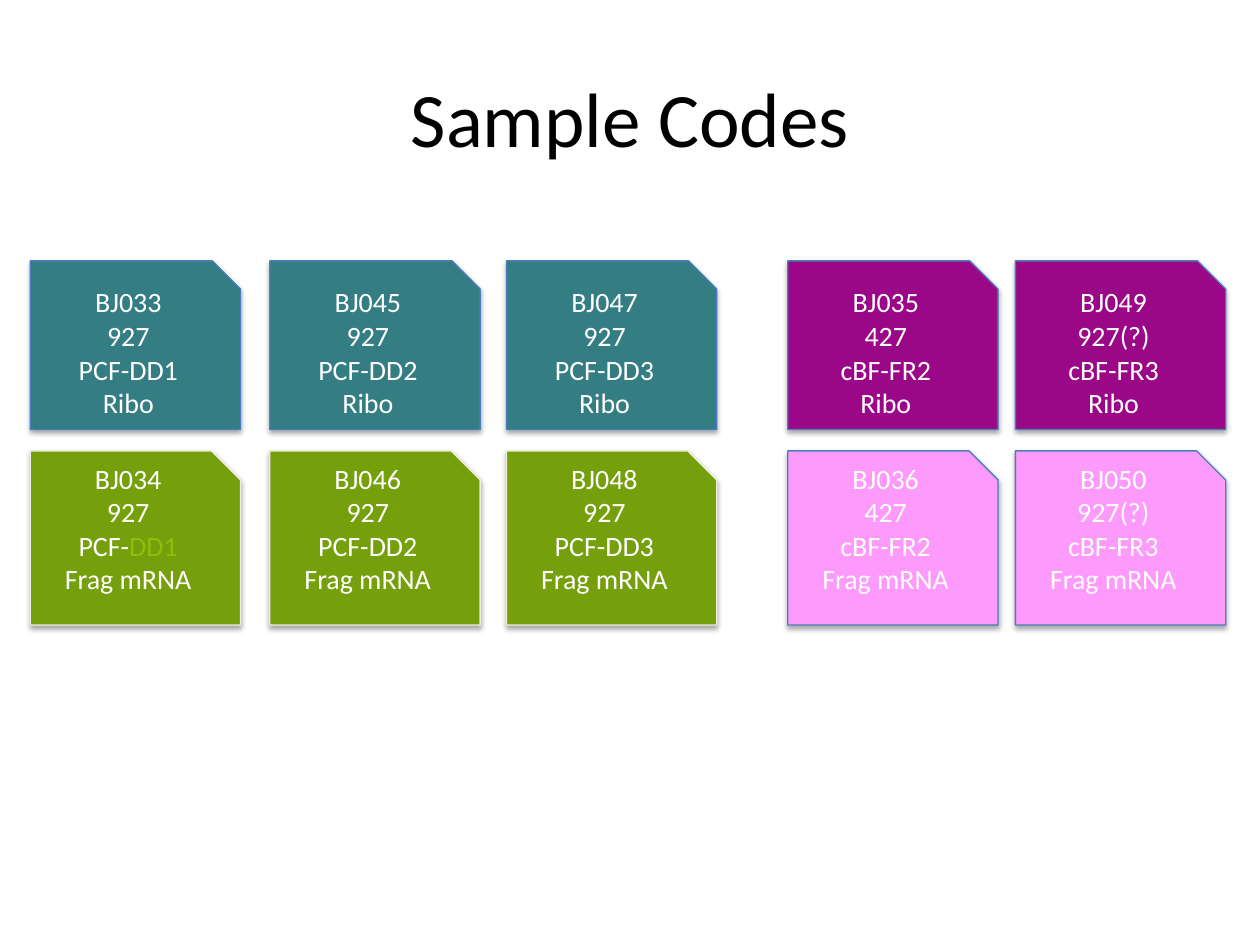
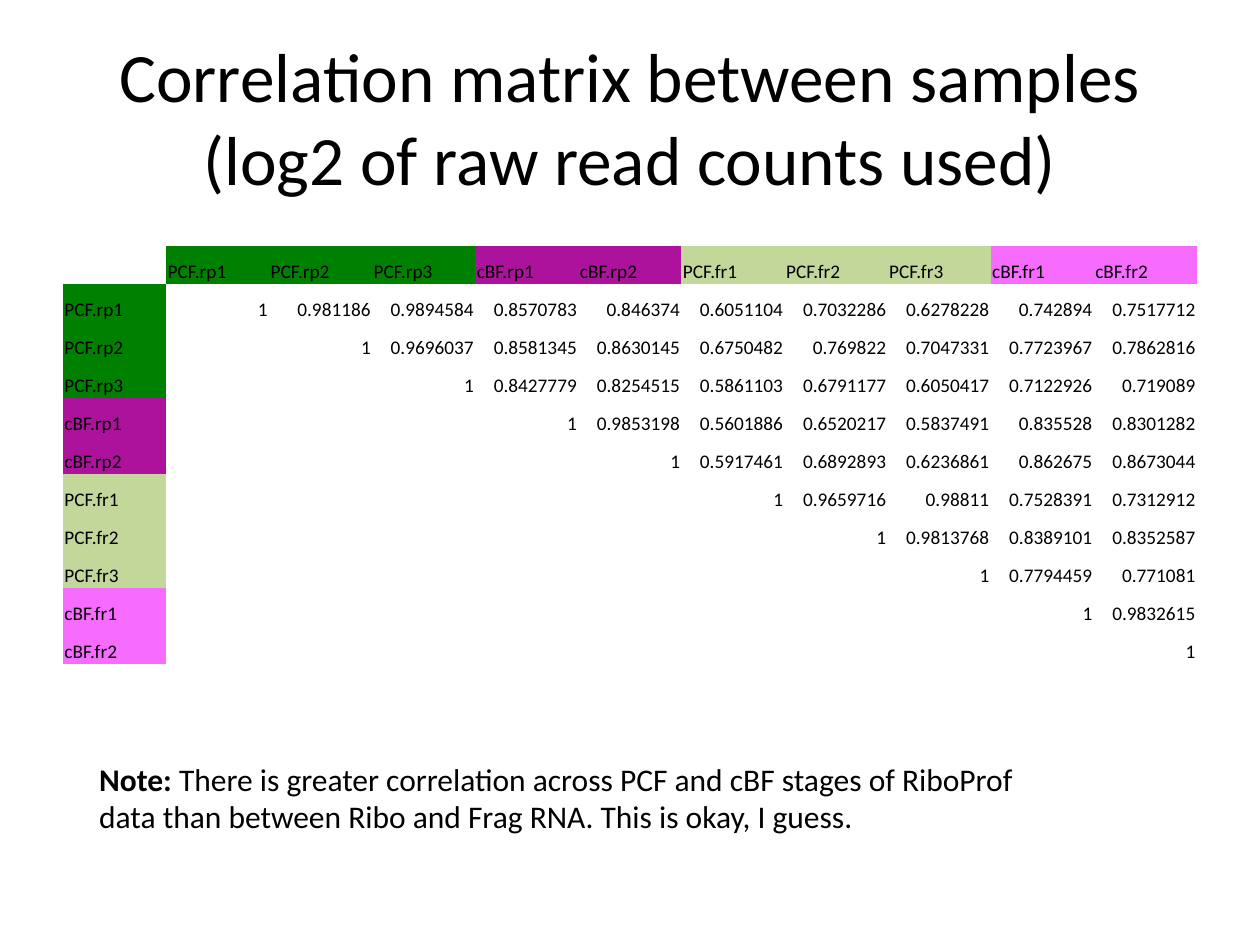
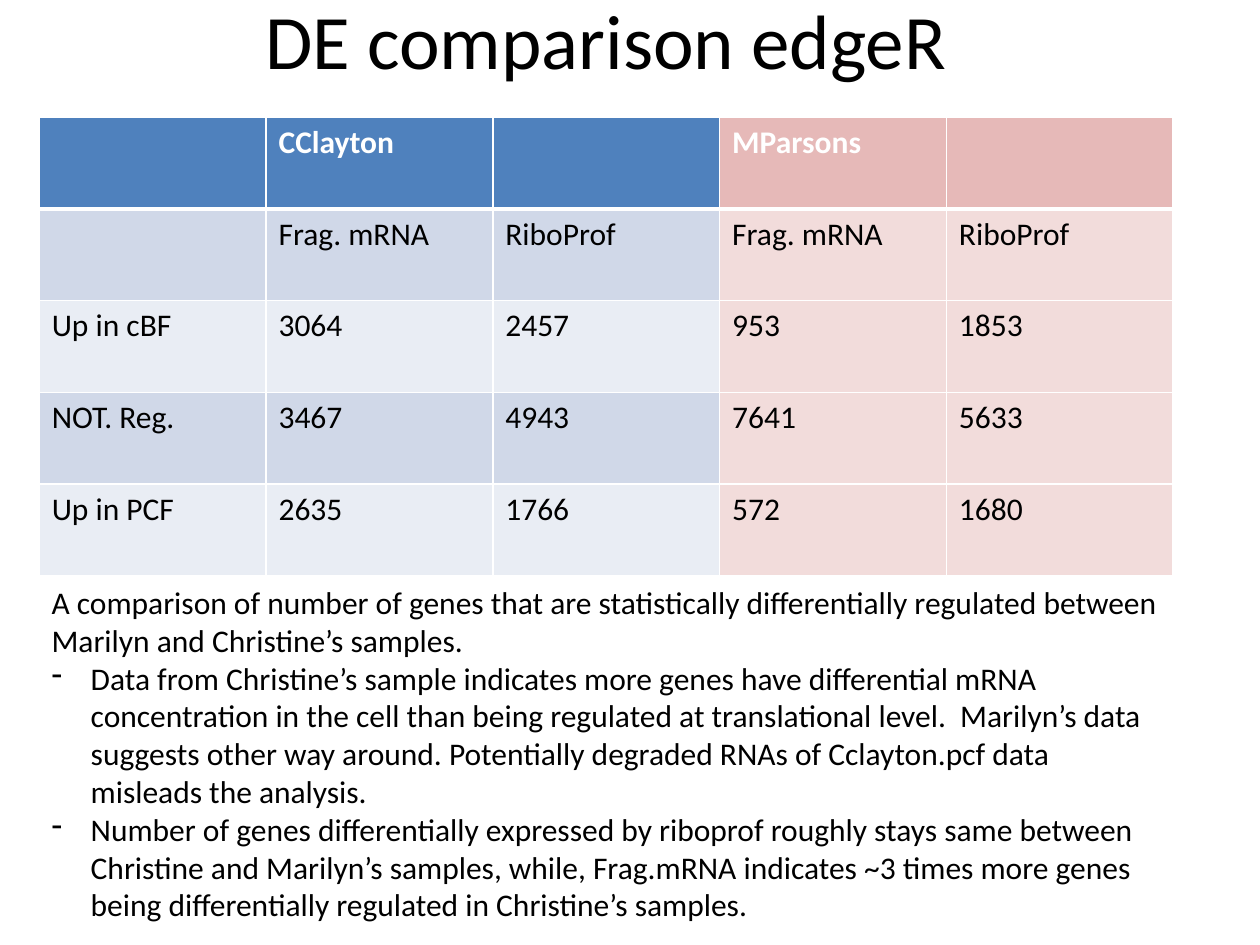
"""Build three slides: sample codes, correlation matrix and DE comparison."""
from lxml import etree
from pptx import Presentation
from pptx import util as u
from pptx.dml import color as dml
from pptx.enum import shapes, text
from pptx.oxml import ns

FONT, BLACK, WHITE = "Calibri", "000000", "FFFFFF"
TITLE_BOX = (1.27, 0.76, 22.86, 3.18)

CARD_W = 4.24
SAMPLES = [
    (0.61, 33, "927", "PCF-DD1"),
    (5.44, 45, "927", "PCF-DD2"),
    (10.21, 47, "927", "PCF-DD3"),
    (15.88, 35, "427", "cBF-FR2"),
    (20.47, 49, "927(?)", "cBF-FR3"),
]
CARD_ROWS = [
    dict(kind="Ribo", top=5.26, height=3.4, bottom=0.13,
         PCF=("347D83", "4B7EBC"), cBF=("9A0888", "4B7EBC")),
    dict(kind="Frag mRNA", top=9.09, height=3.51, bottom=0.81,
         PCF=("769F0C", "EEECE1"), cBF=("FF9AFD", "4B7EBC")),
]
FADED = {("PCF-DD1", "Frag mRNA"): "8DBE0E"}

GROUPS = [("PCF.rp", 3, "008000"), ("cBF.rp", 2, "AD129C"),
          ("PCF.fr", 3, "C4D79B"), ("cBF.fr", 2, "F56CFF")]
UPPER = [
    "1 0.981186 0.9894584 0.8570783 0.846374 0.6051104 0.7032286 0.6278228 0.742894 0.7517712",
    "1 0.9696037 0.8581345 0.8630145 0.6750482 0.769822 0.7047331 0.7723967 0.7862816",
    "1 0.8427779 0.8254515 0.5861103 0.6791177 0.6050417 0.7122926 0.719089",
    "1 0.9853198 0.5601886 0.6520217 0.5837491 0.835528 0.8301282",
    "1 0.5917461 0.6892893 0.6236861 0.862675 0.8673044",
    "1 0.9659716 0.98811 0.7528391 0.7312912",
    "1 0.9813768 0.8389101 0.8352587",
    "1 0.7794459 0.771081",
    "1 0.9832615",
    "1",
]
NOTE = [("Note: ", {"bold": True}),
        ("There is greater correlation across PCF and cBF stages of RiboProf data "
         "than between Ribo and Frag RNA. This is okay, I guess.", {})]

DE_ROWS = [
    ["", "CClayton", "", "MParsons", ""],
    ["", "Frag. mRNA", "RiboProf", "Frag. mRNA", "RiboProf"],
    ["Up in cBF", "3064", "2457", "953", "1853"],
    ["NOT. Reg.", "3467", "4943", "7641", "5633"],
    ["Up in PCF", "2635", "1766", "572", "1680"],
]
BLUES = ["4F81BD", "D0D8E8", "E9EDF4", "D0D8E8", "E9EDF4"]
PINKS = ["E6B9B8"] + ["F2DCDB"] * 4
DE_INTRO = ("A comparison of number of genes that are statistically differentially "
            "regulated between Marilyn and Christine’s samples.")
DE_POINTS = [
    "Data from Christine’s sample indicates more genes have differential mRNA "
    "concentration in the cell than being regulated at translational level.  Marilyn’s "
    "data suggests other way around. Potentially degraded RNAs of Cclayton.pcf data "
    "misleads the analysis.",
    "Number of genes differentially expressed by riboprof roughly stays same between "
    "Christine and Marilyn’s samples, while, Frag.mRNA indicates ~3 times more genes "
    "being differentially regulated in Christine’s samples.",
]


def rgb(value):
    return dml.RGBColor.from_string(value)


def add_xml(parent, tag, **attrs):
    return etree.SubElement(parent, ns.qn(tag), **attrs)


def write(tf, paras, size=18, color=BLACK, bold=False, align="LEFT", bullets=()):
    for i, runs in enumerate(paras):
        p = tf.paragraphs[0] if i == 0 else tf.add_paragraph()
        p.alignment = getattr(text.PP_ALIGN, align)
        if i in bullets:
            pPr = p._p.get_or_add_pPr()
            pPr.set("marL", str(u.Cm(0.79)))
            pPr.set("indent", str(-u.Cm(0.79)))
            add_xml(pPr, "a:buChar", char="-")
        if not runs:
            add_xml(p._p, "a:endParaRPr", sz=str(size * 100))
            continue
        for words, fmt in [(runs, {})] if isinstance(runs, str) else runs:
            r = p.add_run()
            r.text = words
            r.font.name, r.font.size = FONT, u.Pt(size)
            r.font.bold = fmt.get("bold", bold)
            r.font.color.rgb = rgb(fmt.get("color", color))


def textbox(s, box, paras, anchor="TOP", **fmt):
    tf = s.shapes.add_textbox(*map(u.Cm, box)).text_frame
    tf.word_wrap = True
    tf.vertical_anchor = getattr(text.MSO_ANCHOR, anchor)
    write(tf, paras, **fmt)


def new_slide(prs, title, box=TITLE_BOX, size=44):
    s = prs.slides.add_slide(prs.slide_layouts[6])
    textbox(s, box, [title], anchor="MIDDLE", size=size, align="CENTER")
    return s


def card(s, box, fill, line, lines, bottom):
    sp = s.shapes.add_shape(shapes.MSO_SHAPE.SNIP_1_RECTANGLE, *map(u.Cm, box))
    sp.fill.solid()
    sp.fill.fore_color.rgb = rgb(fill)
    sp.line.color.rgb = rgb(line)
    sp.line.width = u.Pt(0.75)
    sp.shadow.inherit = False
    effects = sp._element.spPr.find(ns.qn("a:effectLst"))
    shadow = add_xml(effects, "a:outerShdw", blurRad=str(u.Pt(3.1)), dist=str(u.Pt(1.8)),
                     dir="5400000", rotWithShape="0")
    add_xml(add_xml(shadow, "a:srgbClr", val=BLACK), "a:alpha", val="35000")
    tf = sp.text_frame
    tf.margin_bottom = u.Cm(bottom)
    tf.vertical_anchor = text.MSO_ANCHOR.MIDDLE
    write(tf, lines, size=16, color=WHITE, align="CENTER")


def table(s, box, n_rows, n_cols):
    t = s.shapes.add_table(n_rows, n_cols, *map(u.Cm, box)).table
    t.first_row = t.horz_banding = False
    for col in t.columns:
        col.width = u.Cm(box[2] / n_cols)
    for row in t.rows:
        row.height = u.Cm(box[3] / n_rows)
    return t


def style_cell(cell, fill=None, top=0, bottom=0, sides=0):
    tcPr = cell._tc.get_or_add_tcPr()
    for side, width in zip("LRTB", (sides, sides, top, bottom)):
        ln = add_xml(tcPr, f"a:ln{side}", w=str(u.Pt(width)))
        if width:
            add_xml(add_xml(ln, "a:solidFill"), "a:srgbClr", val=WHITE)
        else:
            add_xml(ln, "a:noFill")
    if fill:
        cell.fill.solid()
        cell.fill.fore_color.rgb = rgb(fill)
    else:
        cell.fill.background()


def sample_codes(prs):
    s = new_slide(prs, "Sample Codes")
    for left, number, strain, sample in SAMPLES:
        for i, row in enumerate(CARD_ROWS):
            fill, line = row[sample[:3]]
            faded = FADED.get((sample, row["kind"]), WHITE)
            name = [(sample[:4], {}), (sample[4:], {"color": faded})]
            card(s, (left, row["top"], CARD_W, row["height"]), fill, line,
                 [f"BJ{number + i:03d}", strain, name, row["kind"]], row["bottom"])


def correlation(prs):
    s = new_slide(prs, "Correlation matrix between samples (log2 of raw read counts used)",
                  size=39.6)
    heads = [(f"{stem}{k + 1}", fill) for stem, count, fill in GROUPS for k in range(count)]
    n = len(heads)
    grid = [[("", None)] + heads]
    for i, (head, values) in enumerate(zip(heads, UPPER)):
        grid.append([head] + [("", None)] * i + [(v, None) for v in values.split()])
    t = table(s, (1.27, 4.95, 22.86, 8.43), n + 1, n + 1)
    for i, row in enumerate(grid):
        for j, (words, fill) in enumerate(row):
            cell = t.cell(i, j)
            style_cell(cell, fill)
            cell.margin_left = cell.margin_right = cell.margin_top = u.Cm(0.03)
            cell.margin_bottom = 0
            cell.vertical_anchor = text.MSO_ANCHOR.BOTTOM
            write(cell.text_frame, [words], size=11, align="RIGHT" if i and j else "LEFT")
    textbox(s, (1.75, 15.19, 19.94, 1.8), [NOTE])


def de_comparison(prs):
    s = new_slide(prs, "DE comparison edgeR", box=(0.79, -0.81, 22.86, 3.18))
    t = table(s, (0.79, 2.36, 22.86, 9.25), len(DE_ROWS), len(DE_ROWS[0]))
    for i, row in enumerate(DE_ROWS):
        for j, words in enumerate(row):
            style_cell(t.cell(i, j), (BLUES if j < 3 else PINKS)[i], sides=1,
                       top=3 if i == 1 else 1, bottom=3 if i == 0 else 1)
            write(t.cell(i, j).text_frame, [words], bold=i == 0,
                  color=BLACK if i else WHITE)
    textbox(s, (0.79, 11.63, 22.86, 7.19), [DE_INTRO] + DE_POINTS, bullets=(1, 2))


prs = Presentation()
prs.slide_width, prs.slide_height = u.Cm(25.4), u.Cm(19.05)
sample_codes(prs)
correlation(prs)
de_comparison(prs)
prs.save("out.pptx")
